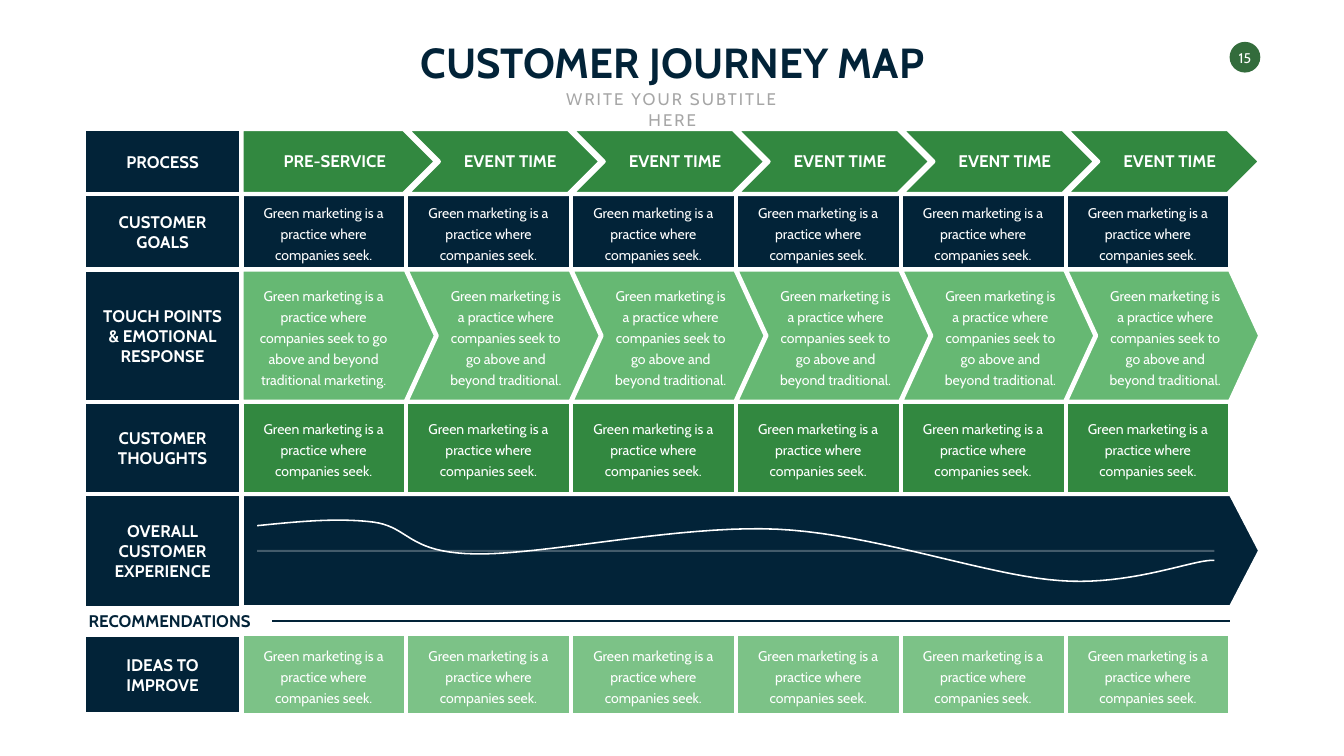
from lxml import etree
from pptx import Presentation
from pptx.dml.color import RGBColor
from pptx.enum.shapes import MSO_CONNECTOR, MSO_SHAPE
from pptx.enum.text import MSO_ANCHOR, MSO_AUTO_SIZE, PP_ALIGN
from pptx.oxml.ns import qn
from pptx.util import Inches, Pt

RECT, OVAL = MSO_SHAPE.RECTANGLE, MSO_SHAPE.OVAL
PLATE, CHEVRON = MSO_SHAPE.PENTAGON, MSO_SHAPE.CHEVRON
LINE = MSO_CONNECTOR.STRAIGHT
TOP, MIDDLE = MSO_ANCHOR.TOP, MSO_ANCHOR.MIDDLE
LEFT, CENTER = PP_ALIGN.LEFT, PP_ALIGN.CENTER
GROW = MSO_AUTO_SIZE.SHAPE_TO_FIT_TEXT

NAVY, GREEN, LIGHT, PALE = "022338", "328840", "66B873", "7CC287"
BADGE, GRAY, WHITE = "336C3C", "A6A6A6", "FFFFFF"

COLS, STEP, SIDE, START, SPAN = 6, 3.27, 1.66, 4.79, 3.13
WIDE = 3.86
SHORT = "Green marketing is a practice where companies seek."
LONG = "Green marketing is a practice where companies seek to go above and beyond traditional"

ROWS = [
    ("PROCESS", 2.56, 1.29, 1.75),
    ("CUSTOMER\nGOALS", 3.85, 1.5, 2.07),
    ("TOUCH POINTS\n& EMOTIONAL\nRESPONSE", 5.35, 2.62, 2.71),
    ("CUSTOMER\nTHOUGHTS", 7.97, 1.83, 2.07),
    ("OVERALL\nCUSTOMER\nEXPERIENCE", 9.8, 2.26, 2.21),
    ("IDEAS TO\nIMPROVE", 12.6, 1.57, 1.73),
]
CARDS = [(3.85, 1.5, NAVY), (7.97, 1.83, GREEN), (12.58, 1.6, PALE)]
MOOD = [
    (5.1, 10.43),
    (5.9, 10.35), (6.69, 10.27), (7.41, 10.36),
    (8.13, 10.46), (8.08, 10.97), (9.42, 10.99),
    (10.75, 11.02), (13.48, 10.41), (15.41, 10.5),
    (17.35, 10.59), (19.57, 11.42), (21.02, 11.52),
    (22.46, 11.63), (23.71, 11.08), (24.09, 11.12),
]


def color(code):
    return RGBColor.from_string(code)


def write(frame, text, size=24, ink=WHITE, bold=False, align=CENTER,
          anchor=MIDDLE, wrap=False, lead=None, track=0):
    frame.word_wrap = wrap
    frame.auto_size = GROW
    frame.vertical_anchor = anchor
    for i, line in enumerate(text.split("\n")):
        para = frame.add_paragraph() if i else frame.paragraphs[0]
        para.alignment = align
        if lead:
            para.line_spacing = Pt(lead)
        run = para.add_run()
        run.text = line
        font = run.font
        font.name, font.size, font.bold = "Cabin", Pt(size), bold
        font.color.rgb = color(ink)
        if track:
            run._r.get_or_add_rPr().set("spc", str(track * 100))


def curve(points, steps=20):
    path = [points[0]]
    for i in range(0, len(points) - 1, 3):
        a, b, c, d = points[i:i + 4]
        for n in range(1, steps + 1):
            t = n / steps
            u = 1 - t
            path.append(tuple(
                u**3 * p + 3 * u * u * t * q + 3 * u * t * t * r + t**3 * s
                for p, q, r, s in zip(a, b, c, d)))
    return [(Inches(x), Inches(y)) for x, y in path]


class Board:
    def __init__(self, deck):
        self.slide = deck.slides.add_slide(deck.slide_layouts[5])
        self.shapes = self.slide.shapes

    def title(self, text, x, y, w, h):
        box = self.shapes.title
        box.left, box.top, box.width, box.height = map(Inches, (x, y, w, h))
        write(box.text_frame, text, size=60, ink=NAVY, bold=True, anchor=TOP)

    def block(self, kind, x, y, w, h, fill, edge=WHITE, point=None):
        shape = self.shapes.add_shape(kind, *map(Inches, (x, y, w, h)))
        shape.shadow.inherit = False
        shape.fill.solid()
        shape.fill.fore_color.rgb = color(fill)
        if edge:
            shape.line.color.rgb = color(edge)
            shape.line.width = Pt(6)
        else:
            shape.line.fill.background()
        if point:
            shape.adjustments[0] = point

    def text(self, text, x, y, w, h, inset=True, **style):
        frame = self.shapes.add_textbox(*map(Inches, (x, y, w, h))).text_frame
        if not inset:
            frame.margin_left = frame.margin_right = 0
            frame.margin_top = frame.margin_bottom = 0
        write(frame, text, **style)

    def label(self, text, mid, row, w):
        h = 0.1 + 0.4 * len(text.split("\n"))
        self.text(text, mid - w / 2, row - h / 2, w, h, bold=True)

    def body(self, text, x, row, w, h):
        self.text(text, x, row - h / 2, w, h, size=20, wrap=True, lead=30)

    def rule(self, x, end, y, ink, alpha=None):
        line = self.shapes.add_connector(
            LINE, Inches(x), Inches(y), Inches(end), Inches(y))
        line.line.color.rgb = color(ink)
        line.line.width = Pt(3)
        etree.SubElement(line._element.spPr, qn("a:effectLst"))
        if alpha:
            tint = line._element.spPr.find(".//" + qn("a:srgbClr"))
            etree.SubElement(tint, qn("a:alpha")).set("val", str(alpha * 1000))

    def wave(self, points):
        first, *rest = curve(points)
        pen = self.shapes.build_freeform(*first)
        pen.add_line_segments(rest, close=False)
        shape = pen.convert_to_shape()
        shape.shadow.inherit = False
        shape.fill.background()
        shape.line.color.rgb = color(WHITE)
        shape.line.width = Pt(2.25)


def main():
    deck = Presentation()
    deck.slide_width, deck.slide_height = Inches(26.66), Inches(15)
    board = Board(deck)

    board.title("CUSTOMER JOURNEY MAP", 7.78, 0.67, 11.11, 1.11)
    board.text("WRITE YOUR SUBTITLE HERE", 10.62, 1.72, 5.43, 0.5,
               ink=GRAY, anchor=TOP, wrap=True, track=3)
    board.block(OVAL, 24.39, 0.83, 0.61, 0.61, BADGE, edge=None)
    board.text("15", 24.49, 0.97, 0.41, 0.34, inset=False, size=20)

    board.block(PLATE, START, 9.8, 20.21, 2.25, NAVY, point=0.26)
    board.rule(5.1, 24.09, 10.93, WHITE, alpha=25)
    board.wave(MOOD)

    for name, top, high, wide in ROWS:
        board.block(RECT, SIDE, top, SPAN, high, NAVY)
        board.label(name, SIDE + SPAN / 2, top + high / 2, wide)

    board.text("RECOMMENDATIONS", SIDE, 12.07, 3.69, 0.5,
               ink=NAVY, bold=True, align=LEFT)
    board.rule(5.4, 24.4, 12.33, NAVY)

    lefts = [START + STEP * i for i in range(COLS)]
    for top, high, fill in CARDS:
        for x in lefts:
            board.block(RECT, x, top, STEP, high, fill)
            board.body(SHORT, x + 0.14, top + high / 2, 2.98, 1.32)

    for i, x in enumerate(lefts):
        kind = CHEVRON if i else PLATE
        board.block(kind, x, 2.56, WIDE, 1.29, GREEN)
        board.block(kind, x, 5.35, WIDE, 2.62, LIGHT, point=0.23)

    for i, x in enumerate(lefts):
        if i:
            board.label("EVENT TIME", x + 2.06, 3.2, 2.12)
            board.body(LONG + ".", x + 0.74, 6.67, 2.47, 2.16)
        else:
            board.label("PRE-SERVICE", x + 1.85, 3.2, 2.4)
            board.body(LONG + " marketing.", x + 0.14, 6.67, 2.98, 2.16)

    deck.save("out.pptx")


if __name__ == "__main__":
    main()
